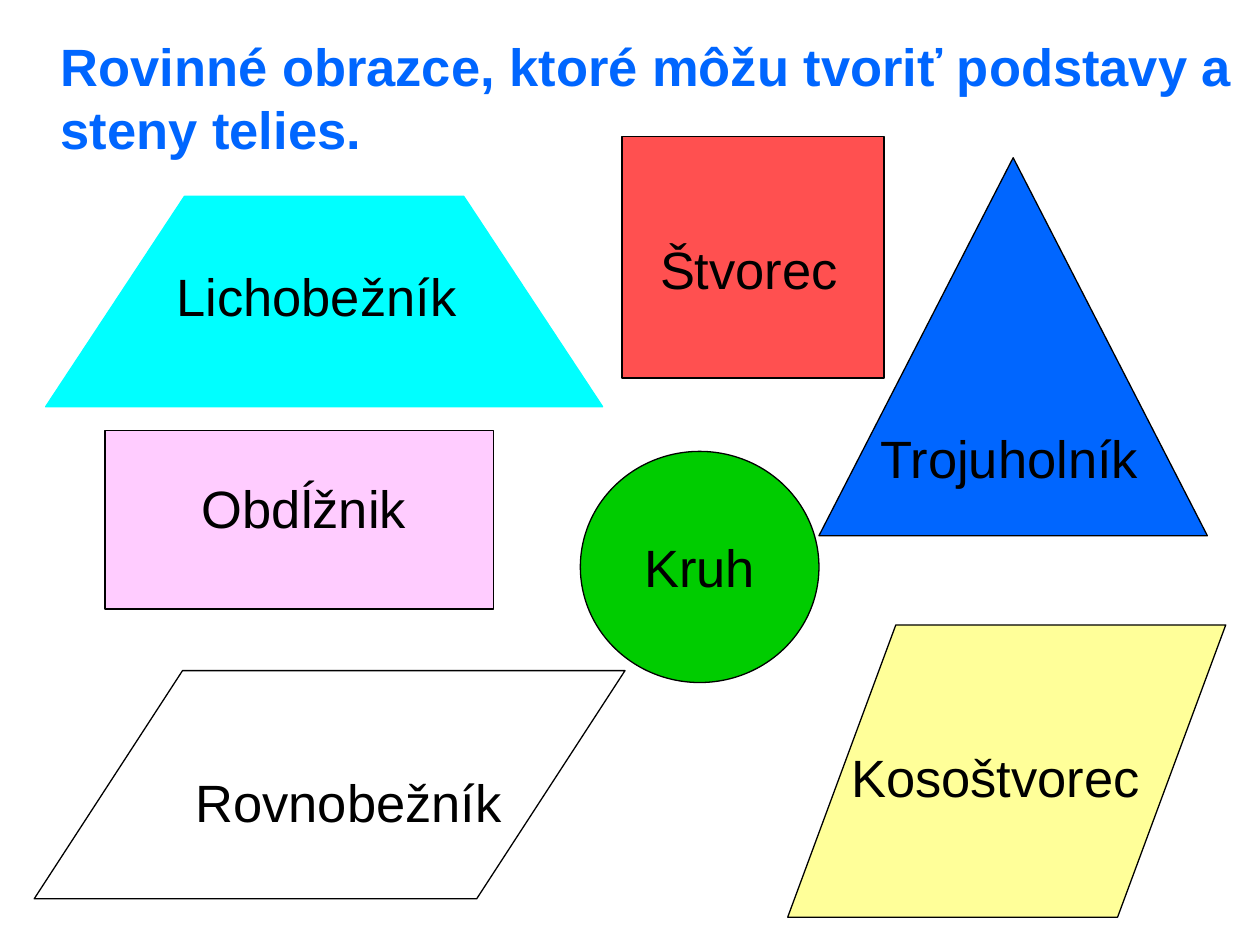
from pptx import Presentation
from pptx.dml.color import RGBColor
from pptx.enum.shapes import MSO_SHAPE
from pptx.enum.text import MSO_ANCHOR, MSO_AUTO_SIZE, PP_ALIGN
from pptx.util import Cm, Pt

COLORS = {
    "title": "0066FF", "ink": "000000", "square": "FF5050", "triangle": "0066FF",
    "parallelogram": "FFFFFF", "trapezoid": "00FFFF", "rhombus": "FFFF99",
    "rectangle": "FFCCFF", "circle": "00CC00",
}
TITLE = ("Rovinné obrazce, ktoré môžu tvoriť podstavy a", "steny telies.")
LABEL_WIDTH, LABEL_HEIGHT = 6.8, 1.52
FIGURES = [
    ("square", MSO_SHAPE.RECTANGLE, (12.54, 2.75, 5.28, 4.87), None, "Štvorec", (2.56, 2.66)),
    ("triangle", MSO_SHAPE.ISOSCELES_TRIANGLE, (16.51, 3.18, 7.83, 7.62), None,
     "Trojuholník", (3.84, 6.04)),
    ("parallelogram", MSO_SHAPE.PARALLELOGRAM, (0.69, 13.52, 11.91, 4.6), 0.65,
     "Rovnobežník", (6.34, 2.63)),
    ("trapezoid", MSO_SHAPE.TRAPEZOID, (0.92, 3.96, 11.23, 4.24), 0.66,
     "Lichobežník", (5.46, 1.99)),
    ("rhombus", MSO_SHAPE.PARALLELOGRAM, (15.88, 12.6, 8.83, 5.89), 0.37,
     "Kosoštvorec", (4.19, 3.05)),
    ("rectangle", MSO_SHAPE.RECTANGLE, (2.12, 8.68, 7.83, 3.6), None,
     "Obdĺžnik", (4.01, 1.55)),
    ("circle", MSO_SHAPE.OVAL, (11.7, 9.1, 4.81, 4.66), None, "Kruh", None),
]


def color(name):
    """Return the named colour."""
    return RGBColor.from_string(COLORS[name])


def write(sp, lines, align, anchor, ink, bold=False):
    """Write formatted lines into a shape, one paragraph each."""
    tf = sp.text_frame
    frame = {"word_wrap": False, "auto_size": MSO_AUTO_SIZE.NONE, "vertical_anchor": anchor}
    for name, value in frame.items():
        setattr(tf, name, value)
    tf.text = "\n".join(lines)
    for p in tf.paragraphs:
        p.alignment = align
        for r in p.runs:
            for name, value in {"name": "Arial", "size": Pt(30), "bold": bold}.items():
                setattr(r.font, name, value)
            r.font.color.rgb = color(ink)


def add_title(s, box):
    """Place and format the slide title."""
    sp = s.shapes.title
    for name, value in zip(("left", "top", "width", "height"), box):
        setattr(sp, name, Cm(value))
    write(sp, TITLE, PP_ALIGN.LEFT, MSO_ANCHOR.TOP, "title", True)


def add_figure(s, name, kind, box, slant, label, center):
    """Draw a figure in its box, labelled at a centre relative to the box or inside the shape."""
    sp = s.shapes.add_shape(kind, *map(Cm, box))
    sp.shadow.inherit = False
    sp.fill.solid()
    sp.fill.fore_color.rgb = color(name)
    sp.line.color.rgb = color("trapezoid" if name == "trapezoid" else "ink")
    sp.line.width = Pt(0.75)
    if slant is not None:
        sp.adjustments[0] = slant
    if center:
        left = box[0] + center[0] - LABEL_WIDTH / 2
        top = box[1] + center[1] - LABEL_HEIGHT / 2
        sp = s.shapes.add_textbox(Cm(left), Cm(top), Cm(LABEL_WIDTH), Cm(LABEL_HEIGHT))
    write(sp, [label], PP_ALIGN.CENTER, MSO_ANCHOR.MIDDLE, "ink")


def main():
    """Build and save the slide."""
    prs = Presentation()
    prs.slide_width, prs.slide_height = Cm(25.4), Cm(19.05)
    s = prs.slides.add_slide(prs.slide_layouts[5])
    add_title(s, (0.97, 0.56, 24.41, 2.79))
    for figure in FIGURES:
        add_figure(s, *figure)
    prs.save("out.pptx")


if __name__ == "__main__":
    main()
